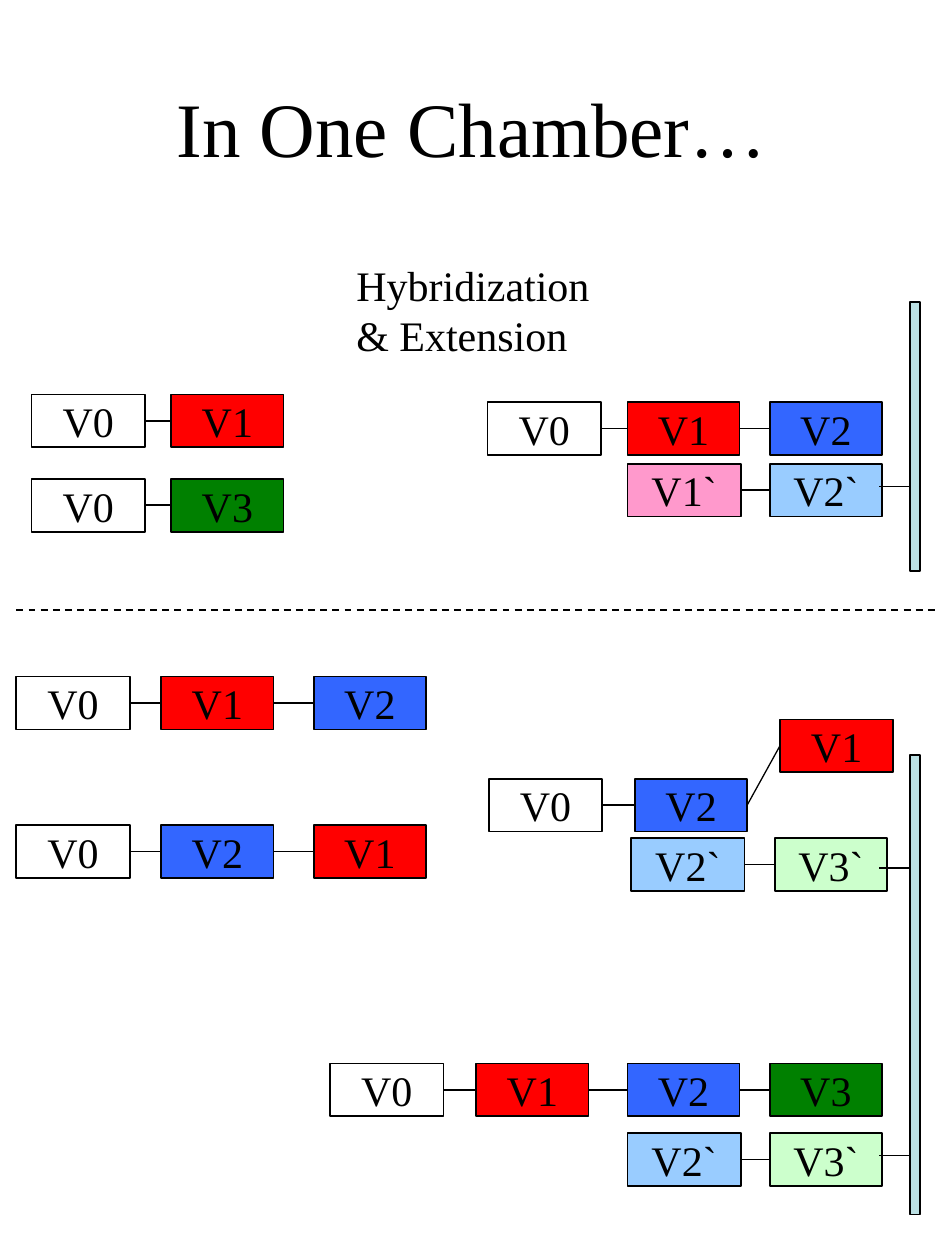
from pptx import Presentation
from pptx.dml.color import RGBColor
from pptx.enum.dml import MSO_LINE
from pptx.enum.shapes import MSO_CONNECTOR, MSO_SHAPE
from pptx.enum.text import MSO_ANCHOR, MSO_AUTO_SIZE, PP_ALIGN
from pptx.oxml.ns import qn
from pptx.util import Inches, Pt
from lxml import etree

BLACK = RGBColor(0x00, 0x00, 0x00)
TEAL = RGBColor(0xBB, 0xE0, 0xE3)
FILLS = {
    "V1": RGBColor(0xFF, 0x00, 0x00),
    "V2": RGBColor(0x33, 0x66, 0xFF),
    "V3": RGBColor(0x00, 0x80, 0x00),
    "V1`": RGBColor(0xFF, 0x99, 0xCC),
    "V2`": RGBColor(0x99, 0xCC, 0xFF),
    "V3`": RGBColor(0xCC, 0xFF, 0xCC),
}
HIGH = 0.42

deck = Presentation()
deck.slide_width, deck.slide_height = Inches(7.5), Inches(10)
slide = deck.slides.add_slide(deck.slide_layouts[5])
shapes = slide.shapes


def write(shape, words, size, align, frame):
    body = shape.text_frame
    for name, value in frame.items():
        setattr(body, name, value)
    para = body.paragraphs[0]
    para.alignment = align
    run = para.add_run()
    run.text = words
    look = {"name": "Times New Roman", "size": Pt(size)}
    for name, value in look.items():
        setattr(run.font, name, value)
    run.font.color.rgb = BLACK


def join(x1, y1, x2, y2, width=0.75):
    ends = [Inches(n) for n in (x1, y1, x2, y2)]
    link = shapes.add_connector(MSO_CONNECTOR.STRAIGHT, *ends)
    link.line.color.rgb = BLACK
    link.line.width = Pt(width)
    etree.SubElement(link.element.spPr, qn("a:effectLst"))
    return link


title = shapes.title
place = {"left": 0.37, "top": 0.4, "width": 6.75, "height": 1.21}
for name, value in place.items():
    setattr(title, name, Inches(value))
write(title, "In One Chamber…", 44, PP_ALIGN.CENTER,
      {"vertical_anchor": MSO_ANCHOR.MIDDLE, "auto_size": MSO_AUTO_SIZE.NONE})

note = shapes.add_textbox(Inches(2.73), Inches(2.01), Inches(2.13), Inches(0.9))
write(note, "Hybridization & Extension", 24, PP_ALIGN.LEFT,
      {"word_wrap": True, "auto_size": MSO_AUTO_SIZE.SHAPE_TO_FIT_TEXT})

chains = [
    (3.13, 1, [(0.25, "V0"), (1.36, "V1")]),
    (3.8, 1, [(0.25, "V0"), (1.36, "V3")]),
    (3.19, 0.75, [(3.87, "V0"), (4.98, "V1"), (6.11, "V2")]),
    (3.68, 0.75, [(4.98, "V1`"), (6.11, "V2`")]),
    (5.37, 0.75, [(0.13, "V0"), (1.28, "V1"), (2.49, "V2")]),
    (6.55, 0.75, [(0.13, "V0"), (1.28, "V2"), (2.49, "V1")]),
    (5.71, 0.75, [(6.19, "V1")]),
    (6.18, 0.75, [(3.88, "V0"), (5.04, "V2")]),
    (6.65, 0.75, [(5.01, "V2`"), (6.15, "V3`")]),
    (8.44, 0.75, [(2.62, "V0"), (3.78, "V1"), (4.98, "V2"), (6.11, "V3")]),
    (8.99, 0.75, [(4.98, "V2`"), (6.11, "V3`")]),
]
for top, width, parts in chains:
    end = None
    for left, label in parts:
        wide = 0.9 if left == parts[0][0] else 0.89
        box = shapes.add_shape(MSO_SHAPE.RECTANGLE, Inches(left), Inches(top),
                               Inches(wide), Inches(HIGH))
        box.shadow.inherit = False
        if label in FILLS:
            box.fill.solid()
            box.fill.fore_color.rgb = FILLS[label]
        else:
            box.fill.background()
        box.line.color.rgb = BLACK
        box.line.width = Pt(1)
        write(box, label, 24, PP_ALIGN.CENTER,
              {"vertical_anchor": MSO_ANCHOR.MIDDLE, "word_wrap": False})
        if end is not None:
            join(end, top + HIGH / 2, left, top + HIGH / 2, width)
        end = left + wide

join(5.93, 6.39, 6.19, 5.92)
for y in (3.86, 6.89, 9.17):
    join(6.98, y, 7.22, y)

for top, tall in ((2.4, 2.13), (5.99, 3.65)):
    wall = shapes.add_shape(MSO_SHAPE.RECTANGLE, Inches(7.22), Inches(top),
                            Inches(0.08), Inches(tall))
    wall.shadow.inherit = False
    wall.fill.solid()
    wall.fill.fore_color.rgb = TEAL
    wall.line.color.rgb = BLACK
    wall.line.width = Pt(1)

split = join(0.13, 4.84, 7.42, 4.84, 1)
split.line.dash_style = MSO_LINE.DASH

deck.save("out.pptx")
